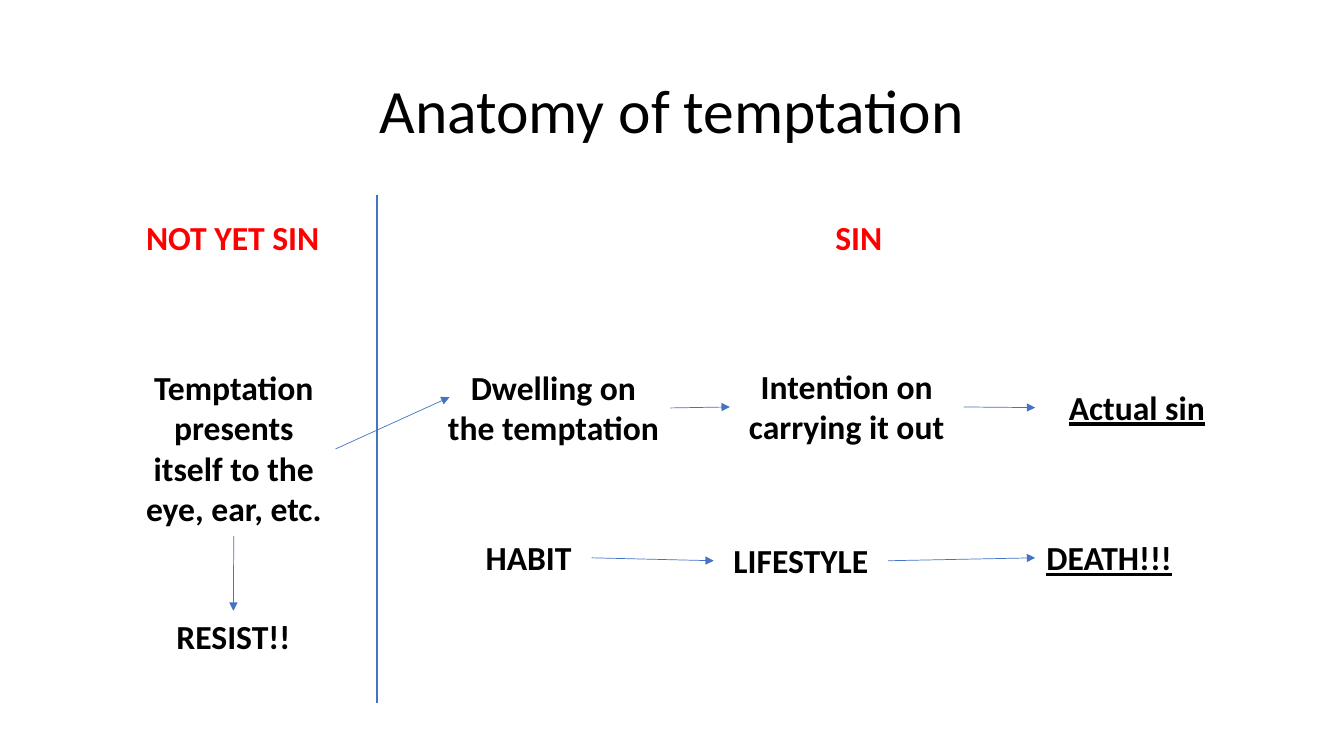
"""Build the slide that maps the path from temptation to sin."""
from lxml.etree import SubElement
from pptx import Presentation
from pptx.dml.color import RGBColor
from pptx.enum.shapes import MSO_CONNECTOR as Connector
from pptx.enum.text import MSO_ANCHOR as Anchor, MSO_AUTO_SIZE as AutoSize, PP_ALIGN as Align
from pptx.oxml.ns import qn
from pptx.util import Pt

BLACK = RGBColor(0x00, 0x00, 0x00)
RED = RGBColor(0xFF, 0x00, 0x00)
BLUE = RGBColor(0x44, 0x72, 0xC4)
FONT = "Calibri"
LEFT_SITE, BOTTOM_SITE, RIGHT_SITE, TOP_SITE = 1, 2, 3, 0
LINE_HEIGHT = 29.3
INSETS = 7.2


def format_text(paragraph, size, color, bold, underline=False, align=Align.CENTER):
    paragraph.alignment = align
    for run in paragraph.runs:
        font = run.font
        font.name, font.size = FONT, Pt(size)
        font.bold, font.underline = bold, underline
        font.color.rgb = color


def set_title(slide, text):
    title = slide.shapes.title
    title.left, title.top, title.width, title.height = Pt(66), Pt(28.8), Pt(828), Pt(104.4)
    frame = title.text_frame
    frame.text = text
    frame.vertical_anchor = Anchor.MIDDLE
    frame.auto_size = AutoSize.NONE
    paragraph = frame.paragraphs[0]
    paragraph.line_spacing = 0.9
    format_text(paragraph, 44, BLACK, False)


def add_label(slide, text, left, top, width, lines=1, color=BLACK,
              underline=False, align=Align.CENTER, wrap=True):
    height = lines * LINE_HEIGHT + INSETS
    shape = slide.shapes.add_textbox(Pt(left), Pt(top), Pt(width), Pt(height))
    frame = shape.text_frame
    frame.text = text
    frame.word_wrap = wrap
    frame.auto_size = AutoSize.SHAPE_TO_FIT_TEXT
    format_text(frame.paragraphs[0], 24, color, True, underline, align)
    return shape


def add_line(slide, width, start=(0, 0), end=(0, 0)):
    points = [Pt(value) for value in (*start, *end)]
    connector = slide.shapes.add_connector(Connector.STRAIGHT, *points)
    connector.line.color.rgb = BLUE
    connector.line.width = Pt(width)
    SubElement(connector._element.spPr, qn("a:effectLst"))
    return connector


def add_arrow(slide, source, target=None, source_site=RIGHT_SITE,
              target_site=LEFT_SITE, end=(0, 0)):
    arrow = add_line(slide, 0.5, end=end)
    arrow.begin_connect(source, source_site)
    if target is not None:
        arrow.end_connect(target, target_site)
    SubElement(arrow.line._get_or_add_ln(), qn("a:tailEnd"), type="triangle")


def main():
    presentation = Presentation()
    presentation.slide_width, presentation.slide_height = Pt(960), Pt(540)
    slide = presentation.slides.add_slide(presentation.slide_layouts[5])
    set_title(slide, "Anatomy of temptation")
    add_line(slide, 2, (269.3, 139), (269.3, 501.8))

    add_label(slide, "NOT YET SIN", 97.2, 151.2, 145.4, color=RED, align=Align.LEFT)
    add_label(slide, "SIN", 540.7, 151.2, 145.4, color=RED)

    temptation = add_label(slide, "Temptation presents itself to the eye, ear, etc.",
                           94.3, 258.5, 145.4, lines=4)
    resist = add_label(slide, "RESIST!!", 118.1, 436.3, 97.2, wrap=False)
    dwelling = add_label(slide, "Dwelling on the temptation", 311.8, 258.5, 167, lines=2)
    intention = add_label(slide, "Intention on carrying it out", 521.3, 257.8, 167, lines=2)
    actual_sin = add_label(slide, "Actual sin", 739.4, 272.9, 145.4, underline=True)
    habit = add_label(slide, "HABIT", 332.6, 380.2, 90)
    lifestyle = add_label(slide, "LIFESTYLE", 509.8, 382.3, 124.6)
    death = add_label(slide, "DEATH!!!", 739.4, 380.2, 105.8, underline=True)

    add_arrow(slide, temptation, resist, BOTTOM_SITE, TOP_SITE)
    add_arrow(slide, temptation, end=(321.1, 283.7))
    for chain in ((dwelling, intention, actual_sin), (habit, lifestyle, death)):
        for source, target in zip(chain, chain[1:]):
            add_arrow(slide, source, target)

    presentation.save("out.pptx")


main()
